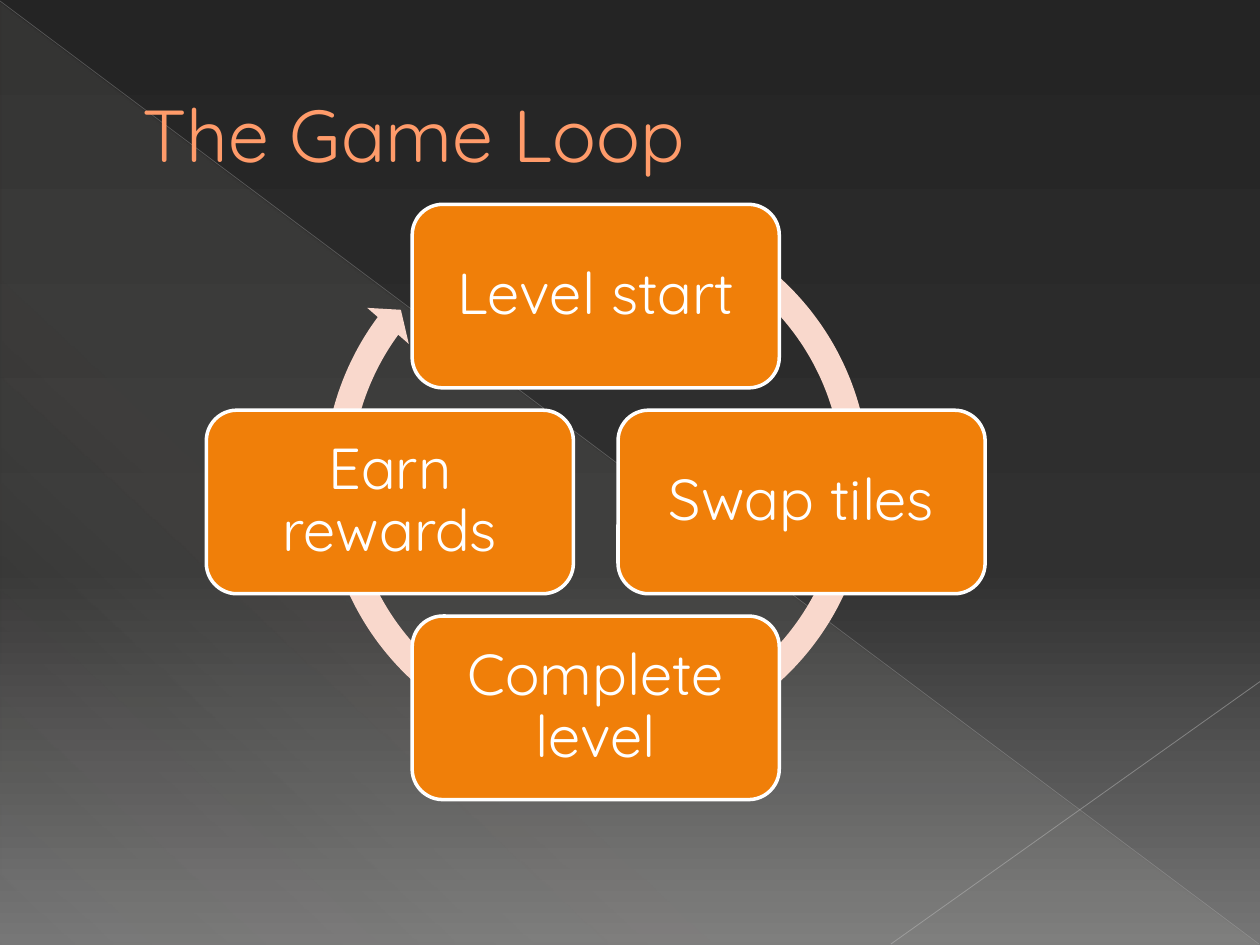
from copy import deepcopy

from lxml import etree
from pptx import Presentation
from pptx import util as u
from pptx.dml.color import RGBColor
from pptx.enum import shapes, text
from pptx.oxml.ns import qn

COLORS = {
    "night": "242424", "dusk": "303030", "fog": "767676", "sheen": "E3DED1",
    "diagonal": "B6B6B6", "corner": "BFBFBF", "title": "FF9B6A",
    "title_edge": "A65806", "ring": "F9D8CC", "step": "F07F09", "white": "FFFFFF",
}


def rgb(name):
    """Return the named colour."""
    return RGBColor.from_string(COLORS[name])


def set_alpha(color, percent):
    """Give a colour element an opacity in percent."""
    etree.SubElement(color, qn("a:alpha")).set("val", str(percent * 1000))


def set_gradient(fill, owner, stops, angle):
    """Fill with (position, colour, opacity) stops, angle clockwise."""
    fill.gradient()
    fill.gradient_angle = -angle % 360
    stop_list = next(owner.iter(qn("a:gsLst")))
    pattern = deepcopy(stop_list[0])
    for old in list(stop_list):
        stop_list.remove(old)
    for position, name, opacity in stops:
        stop = deepcopy(pattern)
        stop.set("pos", str(position * 1000))
        for old in list(stop):
            stop.remove(old)
        color = etree.SubElement(stop, qn("a:srgbClr"), val=COLORS[name])
        if opacity < 100:
            set_alpha(color, opacity)
        stop_list.append(stop)


class Deck:
    """Holds the style and the current slide."""

    font = "Quicksand"

    def __init__(self, width, height):
        """Start a presentation with one blank slide."""
        self.prs = Presentation()
        self.prs.slide_width, self.prs.slide_height = u.Cm(width), u.Cm(height)
        self.slide = self.prs.slides.add_slide(self.prs.slide_layouts[6])

    def background(self, stops, angle):
        """Give the slide a gradient background."""
        set_gradient(self.slide.background.fill, self.slide.element, stops, angle)

    def shape(self, kind, box, fill=None, edge=None, adjust=()):
        """Add a preset shape with a flat fill and an optional edge."""
        part = self.slide.shapes.add_shape(kind, *map(u.Cm, box))
        part.shadow.inherit = False
        for index, value in enumerate(adjust):
            part.adjustments[index] = value
        if fill:
            part.fill.solid()
            part.fill.fore_color.rgb = rgb(fill)
        if edge:
            part.line.color.rgb = rgb(edge)
            part.line.width = u.Pt(2)
        else:
            part.line.fill.background()
        return part

    def line(self, start, end, color, width, opacity):
        """Add a translucent straight line."""
        rule = self.slide.shapes.add_connector(
            shapes.MSO_CONNECTOR.STRAIGHT, *map(u.Cm, start + end))
        rule.line.color.rgb = rgb(color)
        rule.line.width = u.Pt(width)
        set_alpha(next(rule.element.iter(qn("a:srgbClr"))), opacity)
        etree.SubElement(rule.element.spPr, qn("a:effectLst"))

    def put_text(self, part, words, size, color, align, margins):
        """Put one styled paragraph into a shape."""
        frame = part.text_frame
        sides = ("margin_left", "margin_top", "margin_right", "margin_bottom")
        layout = dict(zip(sides, map(u.Cm, margins)))
        layout.update(word_wrap=True, vertical_anchor=text.MSO_ANCHOR.MIDDLE)
        for key, value in layout.items():
            setattr(frame, key, value)
        paragraph = frame.paragraphs[0]
        paragraph.alignment = align
        run = paragraph.add_run()
        run.text = words
        for key, value in {"name": self.font, "size": u.Pt(size)}.items():
            setattr(run.font, key, value)
        run.font.color.rgb = rgb(color)

    def title(self, words, box):
        """Add the outlined slide title."""
        heading = self.slide.shapes.add_textbox(*map(u.Cm, box))
        self.put_text(heading, words, 42, "title", text.PP_ALIGN.LEFT,
                      (1.6, 0.13, 0.25, 0.13))
        outline = etree.Element(qn("a:ln"), w=str(int(u.Pt(0.5))))
        paint = etree.SubElement(outline, qn("a:solidFill"))
        etree.SubElement(paint, qn("a:srgbClr"), val=COLORS["title_edge"])
        next(heading.element.iter(qn("a:rPr"))).insert(0, outline)

    def step(self, words, box):
        """Add one rounded step of the loop."""
        card = self.shape(shapes.MSO_SHAPE.ROUNDED_RECTANGLE, box, "step", "white")
        self.put_text(card, words, 33, "white", text.PP_ALIGN.CENTER, (0.36,) * 4)
        card.text_frame.paragraphs[0].line_spacing = 0.9


def build():
    """Build the game loop slide."""
    deck = Deck(25.4, 19.05)
    deck.background([(0, "night", 100), (60, "dusk", 100), (100, "fog", 100)], 90)
    sheen = deck.shape(shapes.MSO_SHAPE.RIGHT_TRIANGLE, (0.02, 0.05, 25.36, 19))
    set_gradient(sheen.fill, sheen.element,
                 [(0, "sheen", 10), (70, "sheen", 8), (100, "sheen", 1)], 133)
    deck.line((0, 0.02), (25.38, 19.03), "diagonal", 0.39, 35)
    deck.line((25.4, 13.74), (17.96, 19.03), "corner", 0.47, 45)
    deck.title("The Game Loop", (1.27, 0.74, 22.86, 3.89))

    deck.shape(shapes.MSO_SHAPE.CIRCULAR_ARROW, (6.25, 3.89, 11.56, 11.56), "ring",
               adjust=(0.047, 2.729, 129.829, 179.284, 0.048))
    center_x, center_y, reach = 12.01, 10.12, 4.15
    width, height = 7.4, 3.7
    steps = {"Level start": (0, -1), "Swap tiles": (1, 0),
             "Complete level": (0, 1), "Earn rewards": (-1, 0)}
    for words, (across, down) in steps.items():
        deck.step(words, (center_x + across * reach - width / 2,
                          center_y + down * reach - height / 2, width, height))
    deck.prs.save("out.pptx")


build()
